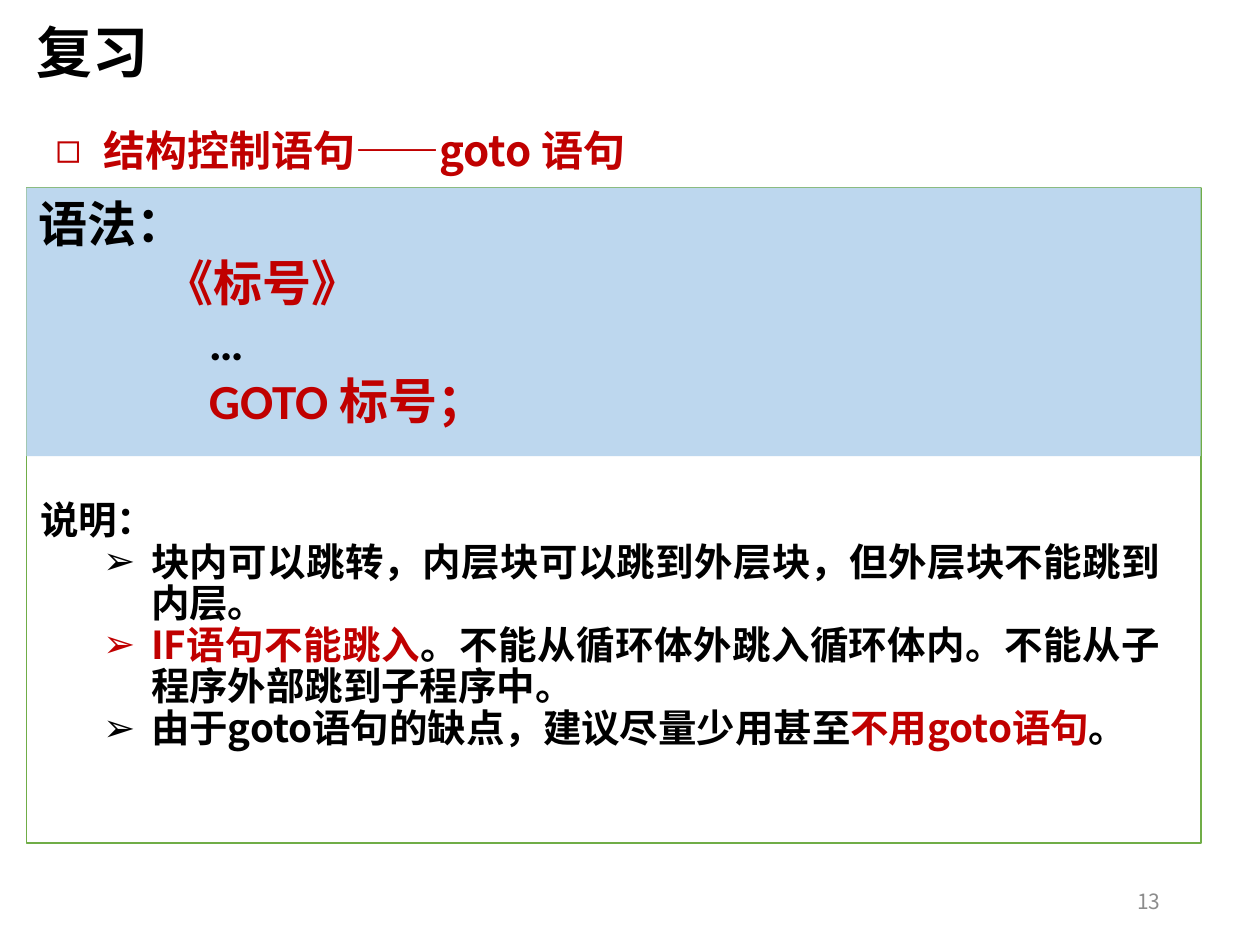
from lxml.etree import SubElement
from pptx import Presentation
from pptx.dml.color import RGBColor
from pptx.enum.shapes import MSO_SHAPE
from pptx.enum.text import MSO_ANCHOR, PP_ALIGN
from pptx.oxml.ns import qn
from pptx.util import Inches, Pt

NOTO = "Noto Sans CJK SC"
BLACK, RED, GRAY = "000000", "C00000", "8C8C8C"

TITLE = [{"runs": [("复习", BLACK)]}]
TOPIC = [{"runs": [("结构控制语句——goto 语句", RED)], "bullet": "◻", "margin": 0.38}]
SYNTAX = [
    {"runs": [("语法：", BLACK)]},
    {"runs": [("《标号》", RED)], "margin": 1},
    {"runs": [("…", BLACK)], "margin": 1.35},
    {"runs": [("GOTO 标号；", RED)], "margin": 1.35},
]
NOTES = [{"runs": [("说明：", BLACK)], "margin": 0.5, "font": "Arial"}] + [
    {"runs": runs, "bullet": "➢", "margin": 1.38}
    for runs in (
        [("块内可以跳转，内层块可以跳到外层块，但外层块不能跳到内层。", BLACK)],
        [("IF语句不能跳入", RED),
         ("。不能从循环体外跳入循环体内。不能从子程序外部跳到子程序中。", BLACK)],
        [("由于goto语句的缺点，建议尽量少用甚至", BLACK),
         ("不用goto语句", RED), ("。 ", BLACK)],
    )
]
PAGE_NUMBER = [{"runs": [("13", GRAY)]}]
HANGING = 0.38


def color(value):
    return RGBColor.from_string(value)


def add_panel(page, place, fill=None, line=None):
    panel = page.shapes.add_shape(MSO_SHAPE.RECTANGLE, *map(Inches, place))
    panel.shadow.inherit = False
    if fill:
        panel.fill.solid()
        panel.fill.fore_color.rgb = color(fill)
    else:
        panel.fill.background()
    if line:
        panel.line.color.rgb = color(line)
        panel.line.width = Pt(1)
    else:
        panel.line.fill.background()
    return panel


def set_indent(para, margin, bullet):
    properties = para._p.get_or_add_pPr()
    properties.set("marL", str(Inches(margin)))
    properties.set("indent", str(Inches(-HANGING if bullet else 0)))
    if bullet:
        SubElement(properties, qn("a:buFont")).set("typeface", "Arial")
        SubElement(properties, qn("a:buChar")).set("char", bullet)


def write(box, paragraphs, size, font=NOTO, bold=True, align=PP_ALIGN.LEFT,
          spacing=None, anchor=MSO_ANCHOR.TOP, wrap=True):
    frame = box.text_frame
    frame.word_wrap = wrap
    frame.vertical_anchor = anchor
    for index, content in enumerate(paragraphs):
        para = frame.add_paragraph() if index else frame.paragraphs[0]
        set_indent(para, content.get("margin", 0), content.get("bullet"))
        para.alignment = align
        if spacing:
            para.line_spacing = spacing
        style = {"name": content.get("font", font), "size": Pt(size), "bold": bold}
        for text, shade in content["runs"]:
            span = para.add_run()
            span.text = text
            for name, value in style.items():
                setattr(span.font, name, value)
            span.font.color.rgb = color(shade)


def add_text(page, place, paragraphs, size, **style):
    box = page.shapes.add_textbox(*map(Inches, place))
    write(box, paragraphs, size, **style)


def main():
    deck = Presentation()
    deck.slide_width, deck.slide_height = Inches(10), Inches(7.5)
    page = deck.slides.add_slide(deck.slide_layouts[6])
    add_panel(page, (0.21, 1.49, 9.32, 5.2), line="70AD47")
    add_text(page, (7.06, 6.95, 2.25, 0.4), PAGE_NUMBER, 12, bold=False,
             align=PP_ALIGN.RIGHT, anchor=MSO_ANCHOR.MIDDLE)
    add_text(page, (0.34, 0.94, 9.32, 0.5), TOPIC, 24)
    syntax = add_panel(page, (0.21, 1.49, 9.32, 2.13), fill="BDD7EE")
    write(syntax, SYNTAX, 28, font="Calibri")
    add_text(page, (-0.28, 3.93, 9.59, 2.29), NOTES, 22,
             align=PP_ALIGN.JUSTIFY, spacing=0.9)
    add_text(page, (0.19, 0.09, 1.1, 0.64), TITLE, 32, wrap=False)
    deck.save("out.pptx")


if __name__ == "__main__":
    main()
